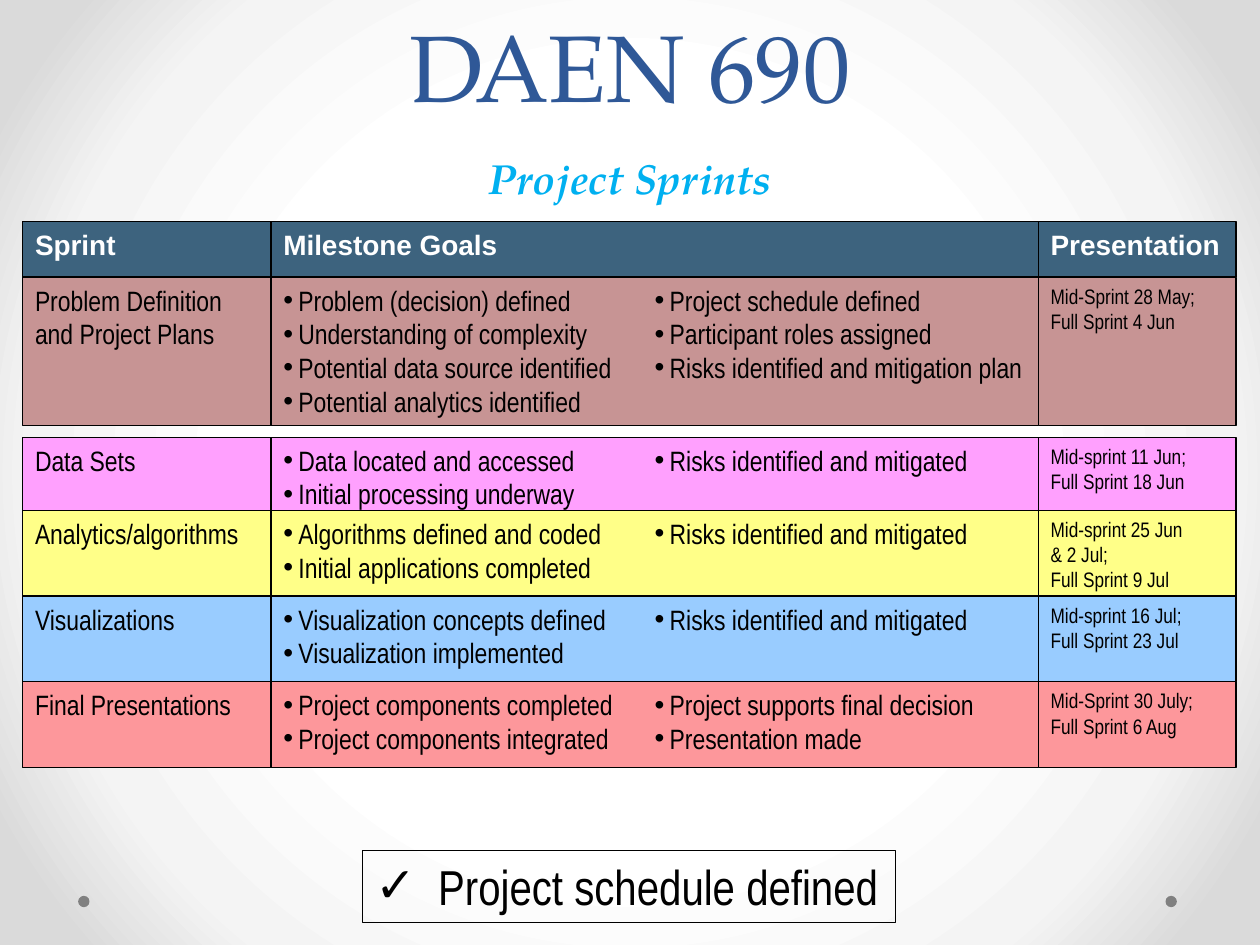
"""Build the project sprints slide."""
from dataclasses import dataclass

from lxml.etree import SubElement
from pptx import Presentation
from pptx.dml.color import RGBColor
from pptx.enum.shapes import MSO_SHAPE
from pptx.enum.text import MSO_ANCHOR, MSO_AUTO_SIZE, PP_ALIGN
from pptx.oxml import parse_xml
from pptx.oxml.ns import nsdecls, qn
from pptx.util import Inches, Pt

COLORS = {
    "black": "000000", "white": "FFFFFF", "dot": "808080",
    "title": "2F5897", "subtitle": "00B0F0", "header": "3D637E",
    "definition": "C79494", "data": "FFA0FE", "analytics": "FFFF88",
    "visual": "99CCFF", "final": "FD979B",
}
COLUMNS = ((0.18, 1.97), (2.15, 6.09), (8.24, 1.57))
BACKGROUND_STOPS = ((50, "FFFFFF"), (76, "F4F4F4"), (92, "DADADA"))
HEADINGS = ("Sprint", "Milestone Goals", "Presentation")


@dataclass(frozen=True)
class TextStyle:
    size: float
    font: str = "Arial Narrow"
    color: str = "black"
    bold: bool = False
    italic: bool = False


@dataclass(frozen=True)
class Sprint:
    name: str
    goals: tuple[str, ...]
    dates: tuple[str, ...]
    color: str
    top: float
    height: float = 0.68


BODY = TextStyle(16)
DATES = TextStyle(12)
HEADER = TextStyle(16, "Arial", "white", bold=True)

SPRINTS = (
    Sprint("Problem Definition and Project Plans",
           ("Problem (decision) defined", "Understanding of complexity",
            "Potential data source identified", "Potential analytics identified",
            "Project schedule defined", "Participant roles assigned",
            "Risks identified and mitigation plan"),
           ("Mid-Sprint 28 May; Full Sprint 4 Jun",), "definition", 2.2, 1.18),
    Sprint("Data Sets",
           ("Data located and accessed", "Initial processing underway",
            "Risks identified and mitigated"),
           ("Mid-sprint 11 Jun;", "Full Sprint 18 Jun"), "data", 3.47),
    Sprint("Analytics/algorithms",
           ("Algorithms defined and coded", "Initial applications completed",
            "Risks identified and mitigated"),
           ("Mid-sprint 25 Jun", "& 2 Jul;", "Full Sprint 9 Jul"), "analytics", 4.05),
    Sprint("Visualizations",
           ("Visualization concepts defined", "Visualization implemented",
            "Risks identified and mitigated"),
           ("Mid-sprint 16 Jul;", "Full Sprint 23 Jul"), "visual", 4.73),
    Sprint("Final Presentations",
           ("Project components completed", "Project components integrated",
            "Project supports final decision", "Presentation made"),
           ("Mid-Sprint 30 July;", "Full Sprint 6 Aug"), "final", 5.41),
)


def rgb(name: str) -> RGBColor:
    return RGBColor.from_string(COLORS[name])


def write_text(text_frame, lines: tuple[str, ...], style: TextStyle,
               alignment=PP_ALIGN.LEFT, bullet: str = "", indent: float = 0) -> None:
    for index, line in enumerate(lines):
        paragraph = text_frame.add_paragraph() if index else text_frame.paragraphs[0]
        paragraph.alignment = alignment
        run = paragraph.add_run()
        run.text = line
        run.font.size = Pt(style.size)
        run.font.name = style.font
        run.font.bold = style.bold
        run.font.italic = style.italic
        run.font.color.rgb = rgb(style.color)
        if bullet:
            properties = paragraph._p.get_or_add_pPr()
            properties.set("marL", str(Inches(indent)))
            properties.set("indent", str(-Inches(indent)))
            SubElement(properties, qn("a:buFont")).set("typeface", "Arial")
            SubElement(properties, qn("a:buChar")).set("char", bullet)


def add_box(shapes, left: float, top: float, width: float, height: float,
            color: str = ""):
    shape = shapes.add_shape(MSO_SHAPE.RECTANGLE, Inches(left), Inches(top),
                             Inches(width), Inches(height))
    shape.shadow.inherit = False
    if color:
        shape.fill.solid()
        shape.fill.fore_color.rgb = rgb(color)
    else:
        shape.fill.background()
    shape.line.color.rgb = rgb("black")
    shape.line.width = Pt(0.75)
    shape.text_frame.vertical_anchor = MSO_ANCHOR.TOP
    return shape


def add_row(slide, top: float, height: float, color: str) -> list:
    group = slide.shapes.add_group_shape()
    return [add_box(group.shapes, left, top, width, height, color).text_frame
            for left, width in COLUMNS]


def add_sprint(slide, sprint: Sprint) -> None:
    name, goals, dates = add_row(slide, sprint.top, sprint.height, sprint.color)
    write_text(name, (sprint.name,), BODY)
    goals._txBody.bodyPr.set("numCol", "2")
    write_text(goals, sprint.goals, BODY, bullet="•", indent=0.12)
    write_text(dates, sprint.dates, DATES)


def add_header(slide) -> None:
    for text_frame, heading in zip(add_row(slide, 1.76, 0.44, "header"), HEADINGS):
        write_text(text_frame, (heading,), HEADER)


def set_background(slide) -> None:
    stops = "".join(f'<a:gs pos="{position * 1000}"><a:srgbClr val="{color}"/></a:gs>'
                    for position, color in BACKGROUND_STOPS)
    slide.background.fill.solid()
    properties = slide._element.cSld.bg.bgPr
    properties.replace(properties[0], parse_xml(
        f'<a:gradFill {nsdecls("a")} rotWithShape="1"><a:gsLst>{stops}</a:gsLst>'
        '<a:path path="circle"><a:fillToRect l="50000" t="50000" r="50000" b="50000"/>'
        '</a:path></a:gradFill>'))


def add_dot(slide, left: float) -> None:
    dot = slide.shapes.add_shape(MSO_SHAPE.OVAL, Inches(left), Inches(7.11),
                                 Inches(0.09), Inches(0.09))
    dot.shadow.inherit = False
    dot.fill.solid()
    dot.fill.fore_color.rgb = rgb("dot")
    dot.line.fill.background()


def add_titles(slide) -> None:
    title = slide.shapes.title
    title.left, title.top = Inches(0.5), Inches(0)
    title.width, title.height = Inches(9), Inches(1.12)
    title.text_frame.auto_size = MSO_AUTO_SIZE.NONE
    title.text_frame.vertical_anchor = MSO_ANCHOR.MIDDLE
    write_text(title.text_frame, ("DAEN 690",),
               TextStyle(54, "TeX Gyre Pagella", "title"), PP_ALIGN.CENTER)
    title.text_frame.paragraphs[0].line_spacing = Pt(58)

    subtitle = slide.shapes.add_textbox(Inches(3.81), Inches(1.18),
                                        Inches(2.38), Inches(0.46)).text_frame
    subtitle.word_wrap = False
    subtitle.auto_size = MSO_AUTO_SIZE.SHAPE_TO_FIT_TEXT
    subtitle.margin_left = subtitle.margin_right = Inches(0.06)
    subtitle.margin_top = subtitle.margin_bottom = Inches(0.03)
    write_text(subtitle, ("Project Sprints",),
               TextStyle(24, "TeX Gyre Pagella", "subtitle", True, True), PP_ALIGN.CENTER)


def add_status(slide) -> None:
    text_frame = add_box(slide.shapes, 2.88, 6.75, 4.23, 0.57).text_frame
    text_frame.word_wrap = False
    text_frame.auto_size = MSO_AUTO_SIZE.SHAPE_TO_FIT_TEXT
    write_text(text_frame, ("Project schedule defined",), TextStyle(28),
               bullet="✓", indent=0.5)


def main() -> None:
    presentation = Presentation()
    presentation.slide_width, presentation.slide_height = Inches(10), Inches(7.5)
    slide = presentation.slides.add_slide(presentation.slide_layouts[5])
    set_background(slide)
    for left in (9.25, 0.62):
        add_dot(slide, left)
    add_titles(slide)
    add_header(slide)
    for sprint in SPRINTS:
        add_sprint(slide, sprint)
    add_status(slide)
    presentation.save("out.pptx")


if __name__ == "__main__":
    main()
